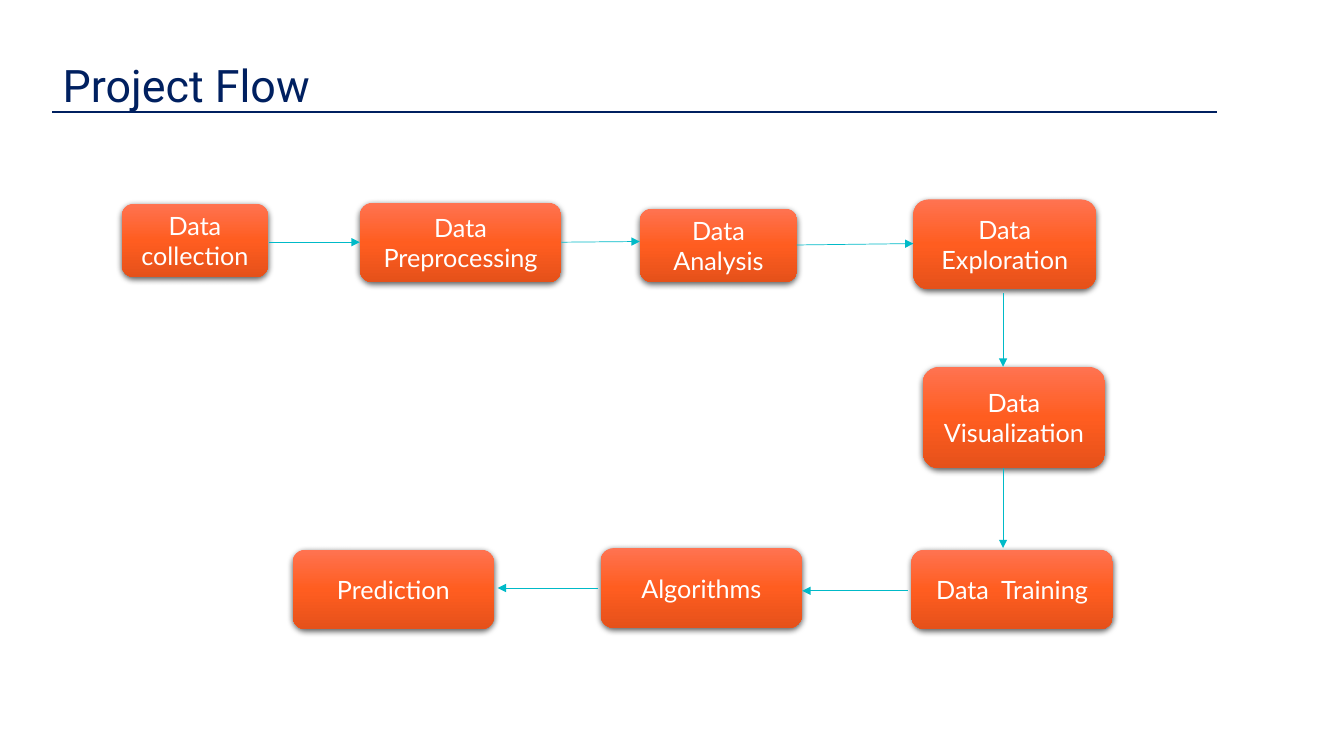
import pptx
import pptx.dml.color
import pptx.enum.shapes
import pptx.enum.text
import pptx.oxml
import pptx.oxml.ns
import pptx.util
from dataclasses import dataclass

Pt = pptx.util.Pt
NS = pptx.oxml.ns.nsdecls("a")


@dataclass
class Theme:
    navy: str = "002060"
    teal: str = "00BAC8"
    white: str = "FFFFFF"
    box_stops: tuple = ((0, "FF7351"), (50, "FF5D20"), (100, "E5511A"))
    title_font: str = "Roboto"
    box_font: str = "Lato"
    title_size: float = 32
    box_size: float = 18
    rule_width: float = 2
    arrow_width: float = 0.5


def rgb(value):
    return pptx.dml.color.RGBColor.from_string(value)


def apply(target, **values):
    for name, value in values.items():
        setattr(target, name, value)


class FlowSlide:
    def __init__(self, prs, theme):
        self.theme = theme
        self.s = prs.slides.add_slide(prs.slide_layouts[5])

    def label(self, sp, text, font, size, color, align, anchor):
        tf = sp.text_frame
        apply(tf, word_wrap=True, vertical_anchor=anchor,
              auto_size=pptx.enum.text.MSO_AUTO_SIZE.NONE)
        p = tf.paragraphs[0]
        p.alignment = align
        r = p.add_run()
        r.text = text
        apply(r.font, name=font, size=Pt(size))
        r.font.color.rgb = rgb(color)

    def title(self, text, left, top, width, height):
        t = self.theme
        sp = self.s.shapes.title
        apply(sp, left=Pt(left), top=Pt(top), width=Pt(width), height=Pt(height))
        self.label(sp, text, t.title_font, t.title_size, t.navy,
                   pptx.enum.text.PP_ALIGN.LEFT, pptx.enum.text.MSO_ANCHOR.TOP)

    def box(self, text, left, top, width, height):
        t = self.theme
        sp = self.s.shapes.add_shape(
            pptx.enum.shapes.MSO_SHAPE.ROUNDED_RECTANGLE,
            Pt(left), Pt(top), Pt(width), Pt(height))
        sp.fill.gradient()
        sp.fill.gradient_angle = 270
        sp.line.fill.background()
        sp.shadow.inherit = False
        spPr = sp._element.spPr
        stops = spPr.find(".//" + pptx.oxml.ns.qn("a:gsLst"))
        for stop in list(stops):
            stops.remove(stop)
        for pos, color in t.box_stops:
            stops.append(pptx.oxml.parse_xml(
                f'<a:gs {NS} pos="{pos * 1000}"><a:srgbClr val="{color}"/></a:gs>'))
        spPr.find(pptx.oxml.ns.qn("a:effectLst")).append(pptx.oxml.parse_xml(
            f'<a:outerShdw {NS} blurRad="{Pt(4.5)}" dist="{Pt(1.5)}" dir="5400000" '
            'algn="ctr" rotWithShape="0"><a:srgbClr val="000000">'
            '<a:alpha val="63000"/></a:srgbClr></a:outerShdw>'))
        self.label(sp, text, t.box_font, t.box_size, t.white,
                   pptx.enum.text.PP_ALIGN.CENTER, pptx.enum.text.MSO_ANCHOR.MIDDLE)

    def line(self, x1, y1, x2, y2, color, width):
        sp = self.s.shapes.add_connector(
            pptx.enum.shapes.MSO_CONNECTOR.STRAIGHT, Pt(x1), Pt(y1), Pt(x2), Pt(y2))
        sp.line.color.rgb = rgb(color)
        sp.line.width = Pt(width)
        sp._element.spPr.append(pptx.oxml.parse_xml(f"<a:effectLst {NS}/>"))
        return sp

    def arrow(self, x1, y1, x2, y2):
        sp = self.line(x1, y1, x2, y2, self.theme.teal, self.theme.arrow_width)
        ln = sp._element.spPr.find(pptx.oxml.ns.qn("a:ln"))
        ln.append(pptx.oxml.parse_xml(f'<a:tailEnd {NS} type="triangle"/>'))


BOXES = [
    ("Data collection", 87, 145.5, 104.5, 52.5),
    ("Data Preprocessing", 257, 144.75, 144, 57),
    ("Data Analysis", 457, 149, 112.5, 52.5),
    ("Data Exploration", 652.5, 142.5, 130.5, 64),
    ("Data Visualization", 659, 262, 130.5, 72.5),
    ("Data  Training", 651, 392.5, 144, 57),
    ("Algorithms", 429, 391.5, 144, 57),
    ("Prediction", 209, 392.5, 144, 57),
]
ARROWS = [
    (192, 173, 257, 173),
    (401, 173, 457, 172.5),
    (569, 175, 652.5, 174),
    (716.5, 209.5, 716.5, 262),
    (716.5, 334, 716.5, 391.5),
    (648.5, 422, 573, 422),
    (427.5, 420, 355.5, 420),
]


def main():
    prs = pptx.Presentation()
    apply(prs, slide_width=Pt(960), slide_height=Pt(540))
    theme = Theme()
    flow = FlowSlide(prs, theme)
    flow.title("Project Flow", 37.5, 37.5, 734.5, 46)
    flow.line(37.5, 80, 869, 80, theme.navy, theme.rule_width)
    for box in BOXES:
        flow.box(*box)
    for arrow in ARROWS:
        flow.arrow(*arrow)
    prs.save("out.pptx")


if __name__ == "__main__":
    main()
